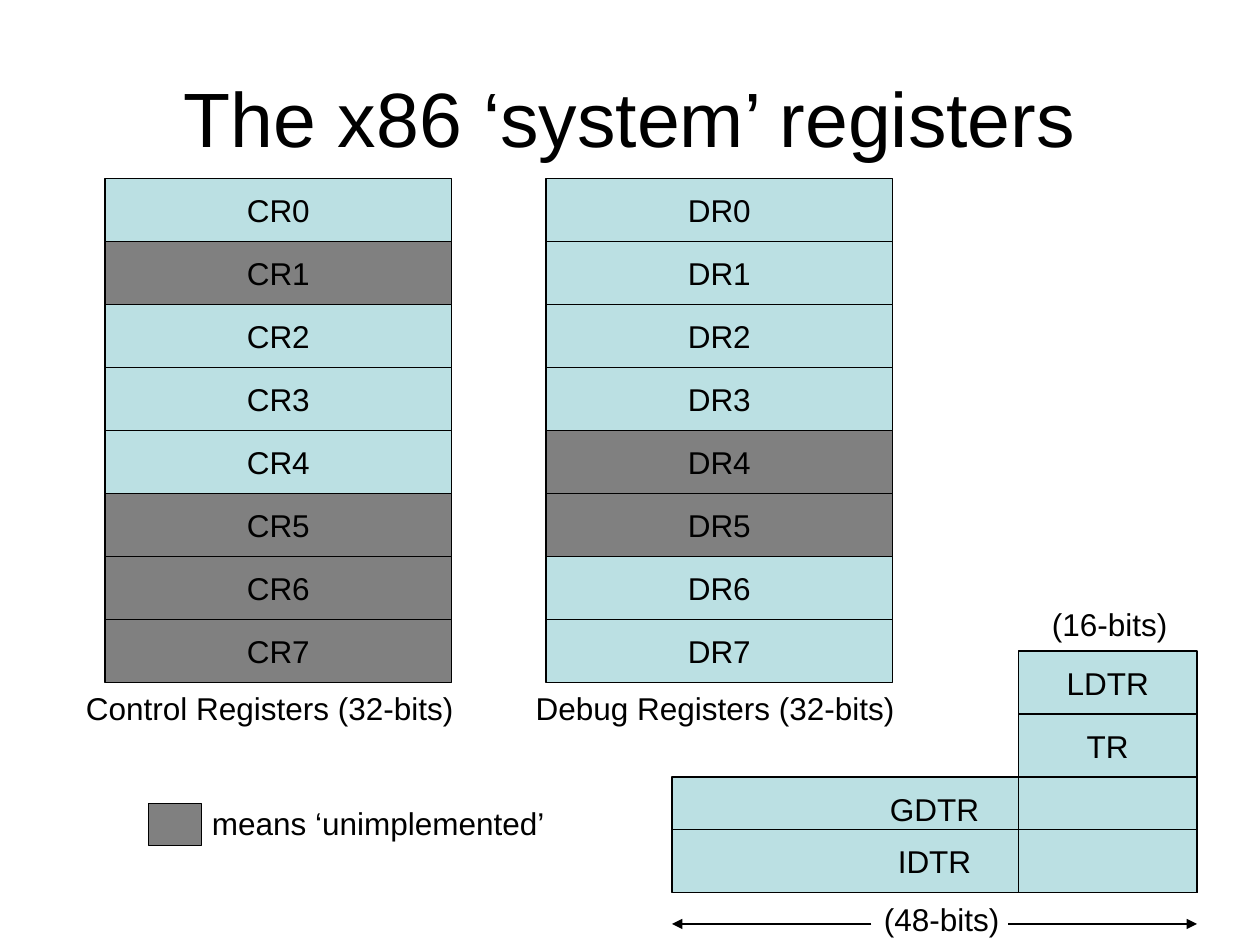
"""Build a slide that charts the x86 system registers and their widths."""
from lxml import etree
from pptx import Presentation
from pptx.dml.color import RGBColor
from pptx.enum import shapes, text
from pptx.oxml import ns
from pptx.util import Pt

COLORS = {"ink": "000000", "register": "BBE0E3", "unimplemented": "808080"}
FONT = "Arial"
TITLE = "The x86 ‘system’ registers"
BANKS = [
    {"prefix": "CR", "left": 60, "unimplemented": {1, 5, 6, 7}},
    {"prefix": "DR", "left": 312, "unimplemented": {4, 5}},
]
BANK_TOP, BANK_WIDTH, ROW_HEIGHT, BANK_ROWS = 102, 198, 36, 8
RIGHT_EDGE, SELECTOR_WIDTH, TABLE_WIDTH = 684, 102, 300
SELECTORS = [("LDTR", 372), ("TR", 408)]
TABLE_REGISTERS = [("GDTR", 444), ("IDTR", 474)]
LEGEND_BOX = (85, 459, 30, 24)
LABELS = [
    ("Control Registers (32-bits)", 42, 390, 225),
    ("Debug Registers (32-bits)", 299, 390, 220),
    ("means ‘unimplemented’", 114, 456, 204),
    ("(16-bits)", 594, 342, 80),
    ("(48-bits)", 498, 511, 80),
]
LABEL_HEIGHT = 29
ARROW_Y = 528
ARROWS = [(498, RIGHT_EDGE - TABLE_WIDTH), (576, RIGHT_EDGE)]


def color(name):
    return RGBColor.from_string(COLORS[name])


def apply(target, values):
    for name, value in values.items():
        setattr(target, name, value)


def write(shape, words, size=18, align=text.PP_ALIGN.LEFT,
          anchor=text.MSO_ANCHOR.TOP, wrap=False):
    frame = shape.text_frame
    frame.text = words
    apply(frame, {
        "word_wrap": wrap, "vertical_anchor": anchor,
        "auto_size": text.MSO_AUTO_SIZE.NONE,
        "margin_left": Pt(7.2), "margin_right": Pt(7.2),
        "margin_top": Pt(3.6), "margin_bottom": Pt(3.6),
    })
    paragraph = frame.paragraphs[0]
    paragraph.alignment = align
    apply(paragraph.runs[0].font, {"name": FONT, "size": Pt(size)})
    paragraph.runs[0].font.color.rgb = color("ink")


def outline(line):
    line.width = Pt(0.75)
    line.fill.solid()
    line.fill.fore_color.rgb = color("ink")


def add_box(slide, left, top, width, height, fill="register", words=""):
    shape = slide.shapes.add_shape(
        shapes.MSO_SHAPE.RECTANGLE, *map(Pt, (left, top, width, height)))
    shape.shadow.inherit = False
    shape.fill.solid()
    shape.fill.fore_color.rgb = color(fill)
    outline(shape.line)
    if words:
        write(shape, words, align=text.PP_ALIGN.CENTER,
              anchor=text.MSO_ANCHOR.MIDDLE)


def add_arrow(slide, start, end):
    arrow = slide.shapes.add_connector(
        shapes.MSO_CONNECTOR.STRAIGHT, *map(Pt, (start, ARROW_Y, end, ARROW_Y)))
    outline(arrow.line)
    etree.SubElement(arrow.line._get_or_add_ln(), ns.qn("a:tailEnd"), type="triangle")
    etree.SubElement(arrow._element.spPr, ns.qn("a:effectLst"))


def main():
    presentation = Presentation()
    apply(presentation, {"slide_width": Pt(720), "slide_height": Pt(540)})
    slide = presentation.slides.add_slide(presentation.slide_layouts[5])
    title = slide.shapes.title
    apply(title, {"left": Pt(36), "top": Pt(21.6),
                  "width": Pt(648), "height": Pt(90)})
    write(title, TITLE, 44, text.PP_ALIGN.CENTER, text.MSO_ANCHOR.MIDDLE, True)

    for bank in BANKS:
        for row in range(BANK_ROWS):
            fill = "unimplemented" if row in bank["unimplemented"] else "register"
            add_box(slide, bank["left"], BANK_TOP + row * ROW_HEIGHT, BANK_WIDTH,
                    ROW_HEIGHT, fill, f"{bank['prefix']}{row}")

    selector_left = RIGHT_EDGE - SELECTOR_WIDTH
    for words, top in SELECTORS:
        add_box(slide, selector_left, top, SELECTOR_WIDTH, ROW_HEIGHT, words=words)
    for words, top in TABLE_REGISTERS:
        add_box(slide, RIGHT_EDGE - TABLE_WIDTH, top, TABLE_WIDTH, ROW_HEIGHT,
                words=words)
        add_box(slide, selector_left, top, SELECTOR_WIDTH, ROW_HEIGHT)

    add_box(slide, *LEGEND_BOX, fill="unimplemented")
    for words, left, top, width in LABELS:
        label = slide.shapes.add_textbox(*map(Pt, (left, top, width, LABEL_HEIGHT)))
        write(label, words)
    for start, end in ARROWS:
        add_arrow(slide, start, end)
    presentation.save("out.pptx")


if __name__ == "__main__":
    main()
